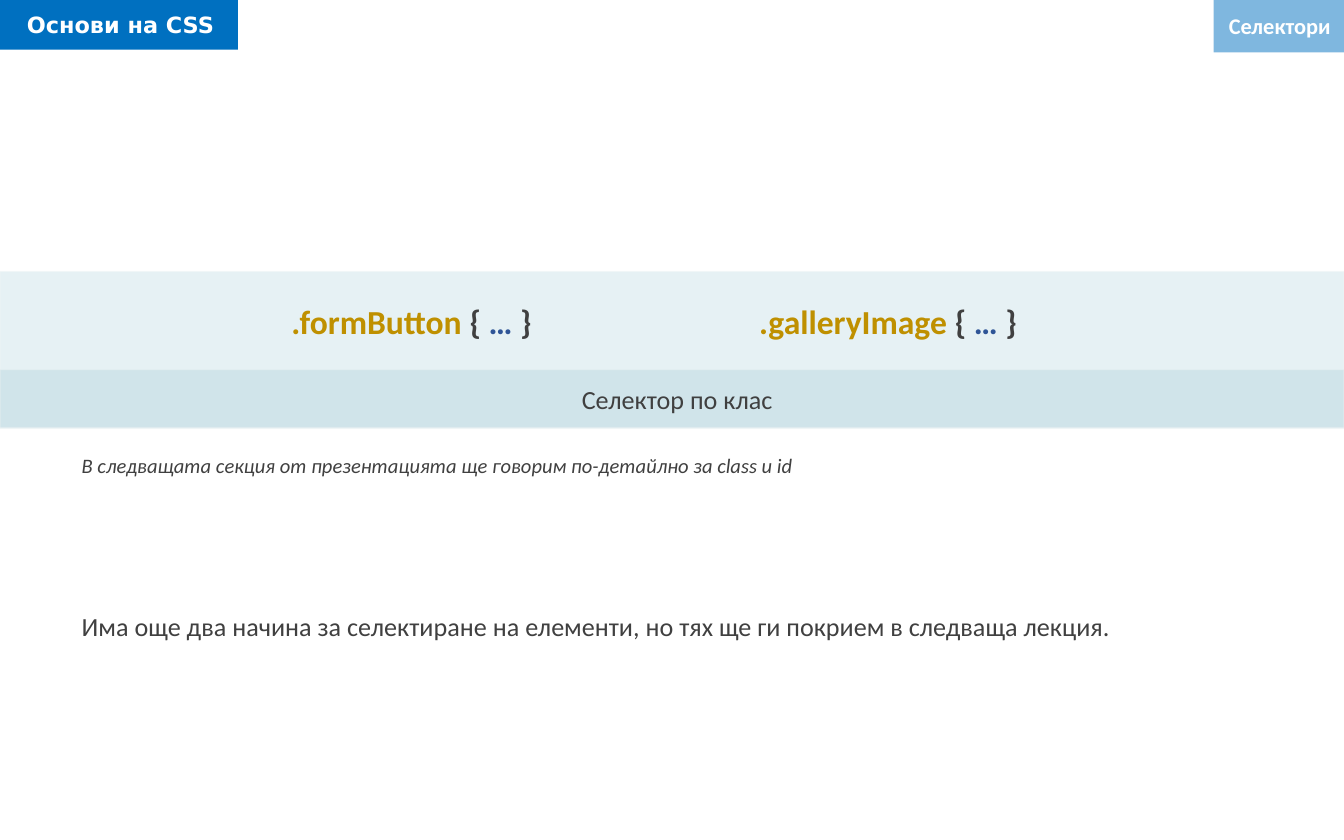
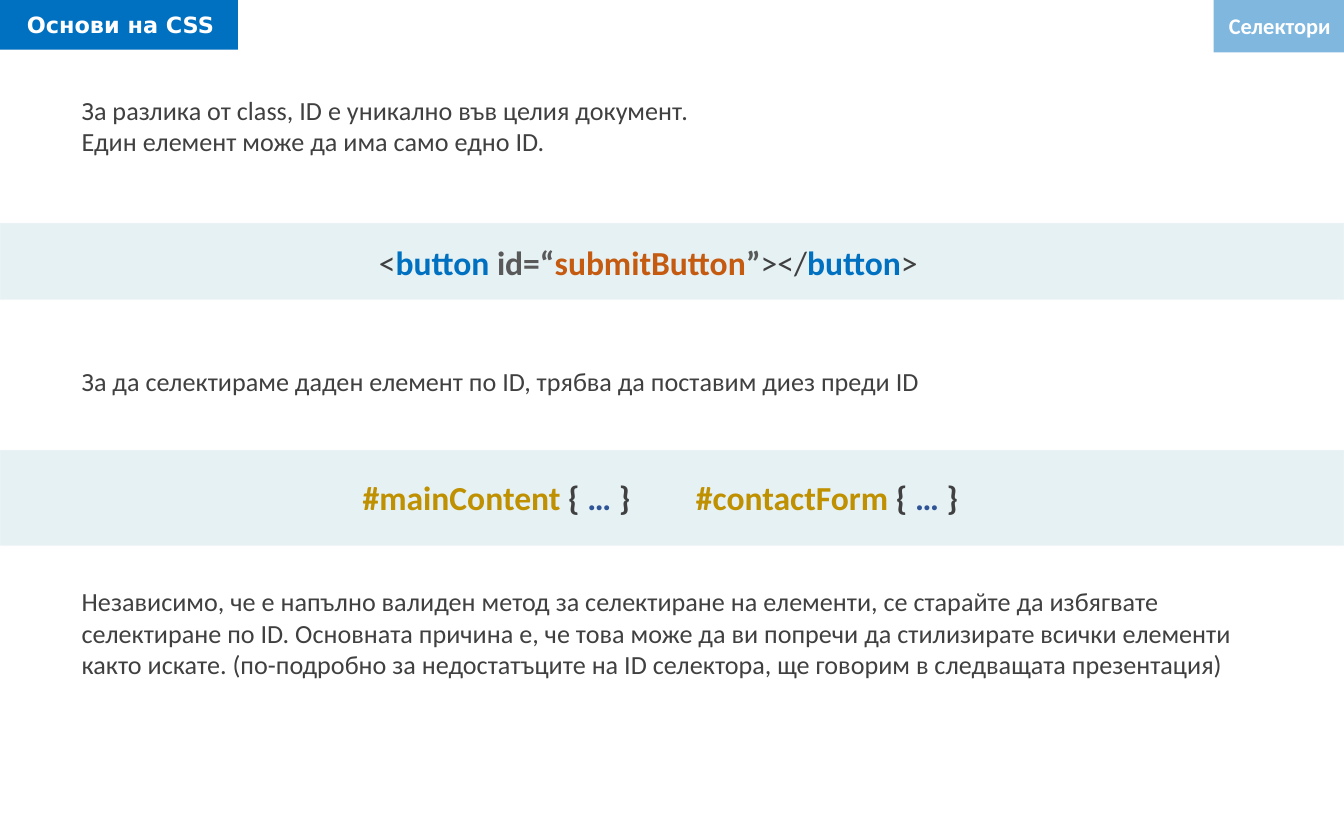
"""Build two slides on CSS class and ID selectors."""
from pptx import Presentation
from pptx.dml.color import RGBColor
from pptx.enum.shapes import MSO_SHAPE
from pptx.enum.text import MSO_ANCHOR, MSO_AUTO_SIZE, PP_ALIGN
from pptx.oxml.ns import qn
from pptx.util import Pt
from lxml import etree

RECT = MSO_SHAPE.RECTANGLE
TOP = MSO_ANCHOR.TOP
GROW = MSO_AUTO_SIZE.SHAPE_TO_FIT_TEXT
LEFT, MID, RIGHT = PP_ALIGN.LEFT, PP_ALIGN.CENTER, PP_ALIGN.RIGHT
PX = 9144
COL = {"blue": "0070C0", "teal": "127994", "edge": "F8F8F8", "white": "FFFFFF",
       "ink": "404040", "gold": "BF9000", "navy": "2F5597", "grey": "595959",
       "rust": "C55A11"}
FONT = "Calibri"


def band(slide, box, color, fade=100, edge=False):
    """Draw a plain bar, fade being its opacity in percent."""
    bar = slide.shapes.add_shape(RECT, *[n * PX for n in box])
    bar.shadow.inherit = False
    bar.fill.solid()
    bar.fill.fore_color.rgb = RGBColor.from_string(COL[color])
    if edge:
        bar.line.color.rgb = RGBColor.from_string(COL["edge"])
        bar.line.width = Pt(1)
    else:
        bar.line.fill.background()
    for node, part in zip(bar.element.spPr.iter(qn("a:srgbClr")), (fade, 16)):
        if part < 100:
            etree.SubElement(node, qn("a:alpha"), val=str(part * 1000))
    return bar


def write(slide, box, text, size=14, color="ink", bold=False, italic=False,
          align=LEFT, font=FONT, wrap=True, shape=None):
    """Set a string, or a list of (text, colour, bold) runs, in a box."""
    spot = [n * PX for n in box]
    if shape is None:
        shape = slide.shapes.add_textbox(*spot)
    shape.left, shape.top, shape.width, shape.height = spot
    frame = shape.text_frame
    frame.word_wrap = wrap
    frame.auto_size = GROW
    frame.vertical_anchor = TOP
    para = frame.paragraphs[0]
    para.alignment = align
    para.font.name, para.font.size = font, Pt(size)
    para.font.italic = italic
    if isinstance(text, str):
        para.text = text
        para.font.bold = bold
        para.font.color.rgb = RGBColor.from_string(COL[color])
        return
    for word, tint, heavy in text:
        run = para.add_run()
        run.text = word
        run.font.bold = heavy
        run.font.color.rgb = RGBColor.from_string(COL[tint])


deck = Presentation()
deck.slide_width, deck.slide_height = 1000 * PX, 625 * PX

pages = [
    {"bands": [(202, 116), (275, 44)],
     "rules": [(".formButton ", 207, 219, 205), (".galleryImage ", 555, 219, 220)],
     "notes": [
         (280, 34, "Селектор по клас", {"align": MID}),
         (332, 29, "В следващата секция от презентацията ще говорим по-детайлно "
          "за class и id", {"size": 11, "italic": True}),
         (449, 34, "Има още два начина за селектиране на елементи, но тях ще ги "
          "покрием в следваща лекция.", {})]},
    {"bands": [(166, 57), (335, 71)],
     "rules": [("#mainContent ", 260, 350, 220), ("#contactForm ", 508, 350, 220)],
     "notes": [
         (65, 57, "За разлика от class, ID е уникално във целия документ. \n"
          "Един елемент може да има само едно ID.", {}),
         (267, 34, "За да селектираме даден елемент по ID, трябва да поставим "
          "диез преди ID", {}),
         (431, 81, "Независимо, че е напълно валиден метод за селектиране на "
          "елементи, се старайте да избягвате селектиране по ID. Основната "
          "причина е, че това може да ви попречи да стилизирате всички елементи "
          "както искате. (по-подробно за недостатъците на ID селектора, ще "
          "говорим в следващата презентация)", {})]},
]

for page in pages:
    slide = deck.slides.add_slide(deck.slide_layouts[5])
    title = slide.shapes.title
    bar = band(slide, (0, -2, 177, 39), "blue")
    title.element.addprevious(bar.element)
    write(slide, (10, 3, 167, 30), "Основи на CSS", 12, "white", True,
          font="DejaVu Sans", shape=title)
    band(slide, (903, 0, 97, 39), "blue", 50)
    write(slide, (903, 4, 97, 30), "Селектори", 12, "white", True,
          align=RIGHT, wrap=False)
    for top, high in page["bands"]:
        band(slide, (0, top, 1000, high), "teal", 10, True)
    for name, left, top, wide in page["rules"]:
        runs = [(name, "gold", True), ("{ ", "ink", True),
                ("… ", "navy", True), ("}", "ink", True)]
        write(slide, (left, top, wide, 40), runs, 18)
    for top, high, text, style in page["notes"]:
        write(slide, (51, top, 906, high), text, **style)

tag = [("<", "ink", False), ("button ", "blue", True), ("id=“", "grey", True),
       ("submitButton", "rust", True), ("”", "grey", True), ("></", "ink", False),
       ("button", "blue", True), (">", "ink", False)]
write(slide, (272, 175, 445, 40), tag, 18)

deck.save("out.pptx")
